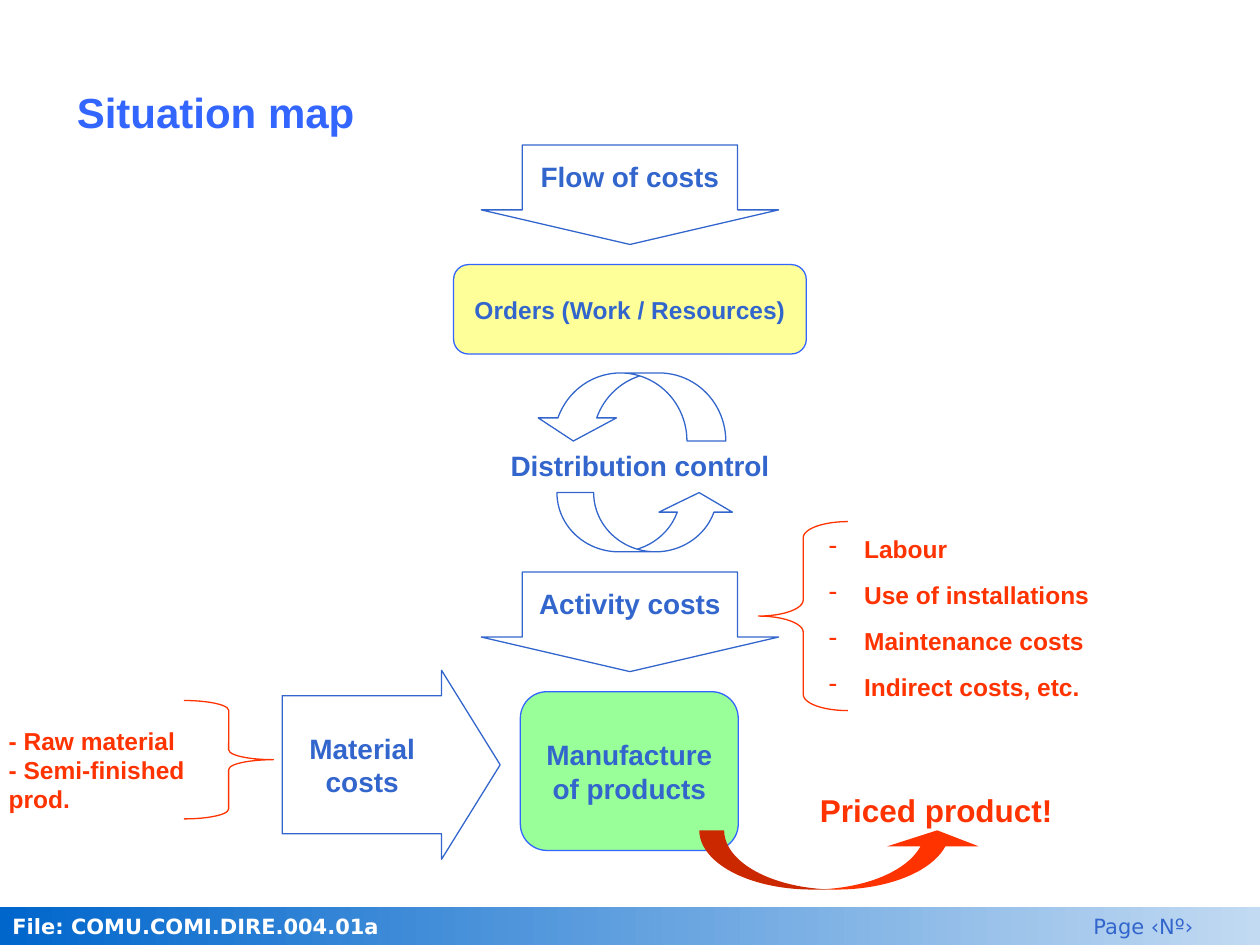
from lxml import etree
from pptx import Presentation
from pptx.dml.color import RGBColor
from pptx.enum.shapes import MSO_SHAPE
from pptx.enum.text import MSO_ANCHOR, PP_ALIGN
from pptx.oxml.ns import qn
from pptx.util import Inches, Pt

LEFT, CENTER = PP_ALIGN.LEFT, PP_ALIGN.CENTER
TOP, MIDDLE = MSO_ANCHOR.TOP, MSO_ANCHOR.MIDDLE
RECTANGLE, ROUNDED = MSO_SHAPE.RECTANGLE, MSO_SHAPE.ROUNDED_RECTANGLE
DOWN_ARROW, RIGHT_ARROW = MSO_SHAPE.DOWN_ARROW, MSO_SHAPE.RIGHT_ARROW
CURVED_ARROW = MSO_SHAPE.CURVED_UP_ARROW
LEFT_BRACE, RIGHT_BRACE = MSO_SHAPE.LEFT_BRACE, MSO_SHAPE.RIGHT_BRACE
BLUE, BRIGHT_BLUE, RED = "3366CC", "3366FF", "FF3300"


def color(value):
    return RGBColor.from_string(value)


def write(box, lines, size, ink, align=LEFT, anchor=TOP, font="Arial", bold=True):
    frame = box.text_frame
    frame.word_wrap = True
    frame.vertical_anchor = anchor
    for index, line in enumerate(lines):
        para = frame.paragraphs[0] if index == 0 else frame.add_paragraph()
        para.alignment = align
        span = para.add_run()
        span.text = line
        span.font.name = font
        span.font.size = Pt(size)
        span.font.bold = bold
        span.font.color.rgb = color(ink)
    return frame


deck = Presentation()
deck.slide_width, deck.slide_height = Inches(10), Inches(7.5)
page = deck.slides.add_slide(deck.slide_layouts[5])

footer = page.shapes.add_shape(RECTANGLE, 0, Inches(7.2), Inches(10), Inches(0.3))
footer.shadow.inherit = False
footer.line.fill.background()
footer.fill.gradient()
footer.fill.gradient_angle = 0
for stop, shade in zip(footer.fill.gradient_stops, ("0066CC", "C2DAF2")):
    stop.color.rgb = color(shade)

title = page.shapes.title
title.left, title.top = Inches(0.51), Inches(0.68)
title.width, title.height = Inches(9.06), Inches(0.47)
write(title, ["Situation map"], 24, BRIGHT_BLUE).paragraphs[0].line_spacing = 0.9

shapes = [
    (ROUNDED, 3.6, 2.1, 2.8, 0.71, [0.167], "FFFF99", BRIGHT_BLUE, 0, "Orders (Work / Resources)", 14),
    (DOWN_ARROW, 3.82, 1.15, 2.36, 0.79, [0.724, 0.347], None, BLUE, 0, "Flow of costs", 16),
    (ROUNDED, 4.13, 5.49, 1.73, 1.26, [0.167], "99FF99", BRIGHT_BLUE, 0, "Manufacture of products", 16),
    (CURVED_ARROW, 4.42, 3.91, 1.42, 0.47, [0.62, 1.24, 0.33], None, BLUE, 0, None, 0),
    (CURVED_ARROW, 4.24, 2.96, 1.52, 0.54, [0.57, 1.15, 0.34], None, BLUE, 180, None, 0),
    (DOWN_ARROW, 3.82, 4.54, 2.36, 0.79, [0.724, 0.347], None, BLUE, 0, "Activity costs", 16),
    (RIGHT_ARROW, 2.24, 5.32, 1.73, 1.5, [0.731, 0.31], None, BLUE, 0, "Material costs", 16),
    (LEFT_BRACE, 6.02, 4.14, 0.71, 1.5, [0.18, 0.5], None, RED, 0, None, 0),
    (RIGHT_BRACE, 1.46, 5.56, 0.71, 0.94, [0.11, 0.5], None, RED, 0, None, 0),
    (CURVED_ARROW, 5.55, 6.59, 2.25, 0.47, [0.42, 1.54, 0.27], RED, None, 0, None, 0),
]
for kind, left, top, width, height, adjustments, fill, line, turn, label, size in shapes:
    shape = page.shapes.add_shape(kind, Inches(left), Inches(top), Inches(width), Inches(height))
    shape.shadow.inherit = False
    shape.rotation = turn
    for index, value in enumerate(adjustments):
        shape.adjustments[index] = value
    if fill:
        shape.fill.solid()
        shape.fill.fore_color.rgb = color(fill)
    else:
        shape.fill.background()
    if line:
        shape.line.color.rgb = color(line)
        shape.line.width = Pt(0.75)
    else:
        shape.line.fill.background()
    if label:
        frame = write(shape, [label], size, BLUE, CENTER, MIDDLE)
        if kind == DOWN_ARROW:
            frame.margin_bottom = Inches(0.15)
        elif kind == RIGHT_ARROW:
            frame.margin_left, frame.margin_right = Inches(0.08), Inches(0.2)

activity_items = ["Labour", "Use of installations", "Maintenance costs", "Indirect costs, etc."]
material_items = ["- Raw material", "- Semi-finished prod."]
texts = [
    (3.27, 3.51, 3.62, 0.37, ["Distribution control"], 16, BLUE, CENTER, "Arial", True),
    (6.48, 4.19, 2.76, 1.4, activity_items, 14, RED, LEFT, "Arial", True),
    (-0.03, 5.71, 2.02, 0.8, material_items, 14, RED, LEFT, "Arial", True),
    (5.87, 6.23, 3.12, 0.4, ["Priced product!"], 18, RED, CENTER, "Arial", True),
    (0, 7.2, 3.58, 0.3, ["File: COMU.COMI.DIRE.004.01a"], 12, "FFFFFF", LEFT, "DejaVu Sans", True),
    (8.58, 7.2, 1.42, 0.3, ["Page ‹Nº›"], 12, BLUE, LEFT, "DejaVu Sans", False),
]
for left, top, width, height, lines, size, ink, align, font, bold in texts:
    box = page.shapes.add_textbox(Inches(left), Inches(top), Inches(width), Inches(height))
    frame = write(box, lines, size, ink, align, TOP, font, bold)
    if lines is activity_items:
        for index, para in enumerate(frame.paragraphs):
            para.space_before = Pt(9.4 if index else 0)
            properties = para._p.get_or_add_pPr()
            properties.set("marL", str(Inches(0.28)))
            properties.set("indent", str(-Inches(0.28)))
            bullet_color = etree.SubElement(properties, qn("a:buClr"))
            etree.SubElement(bullet_color, qn("a:srgbClr"), val=RED)
            etree.SubElement(properties, qn("a:buChar"), char="-")

deck.save("out.pptx")
